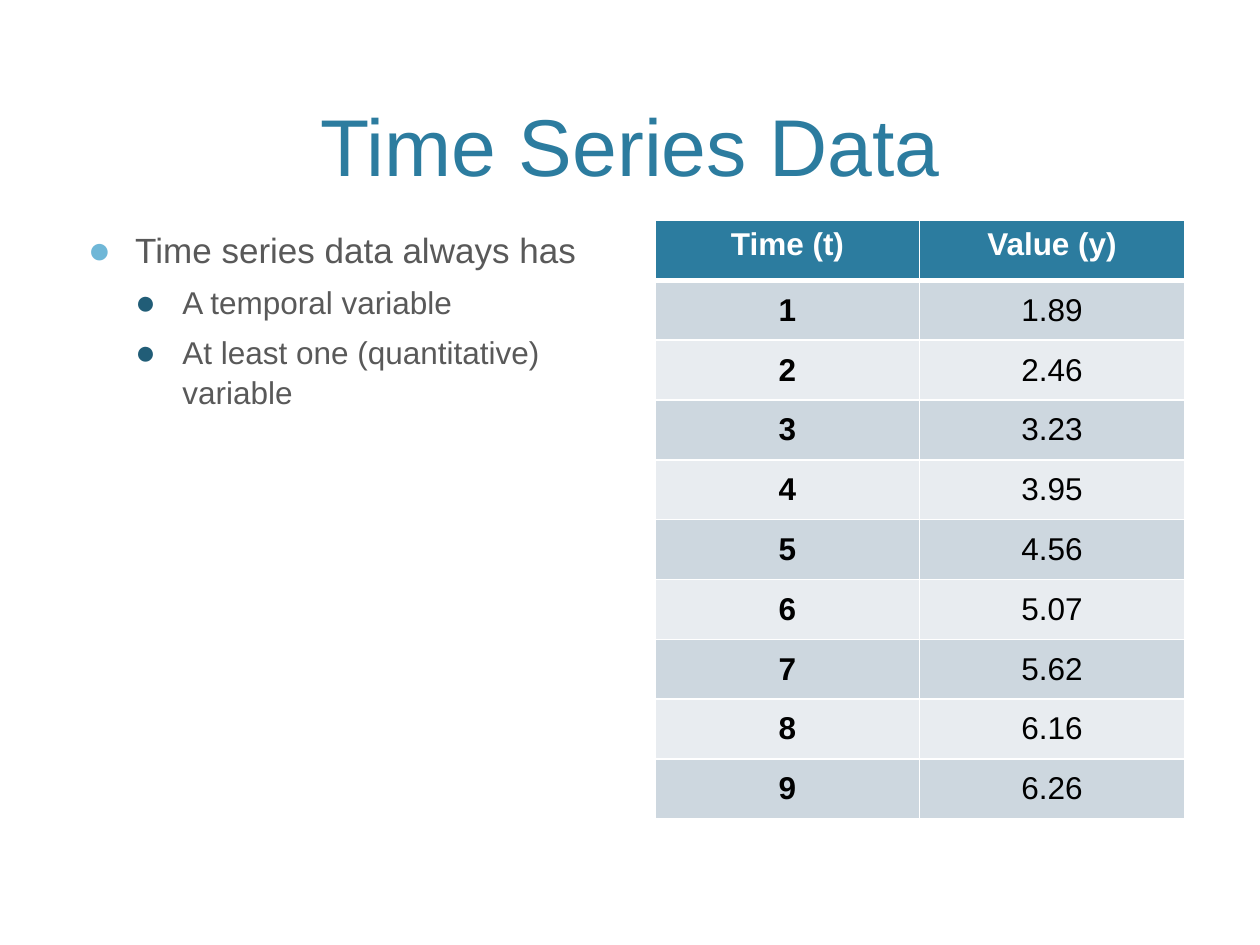
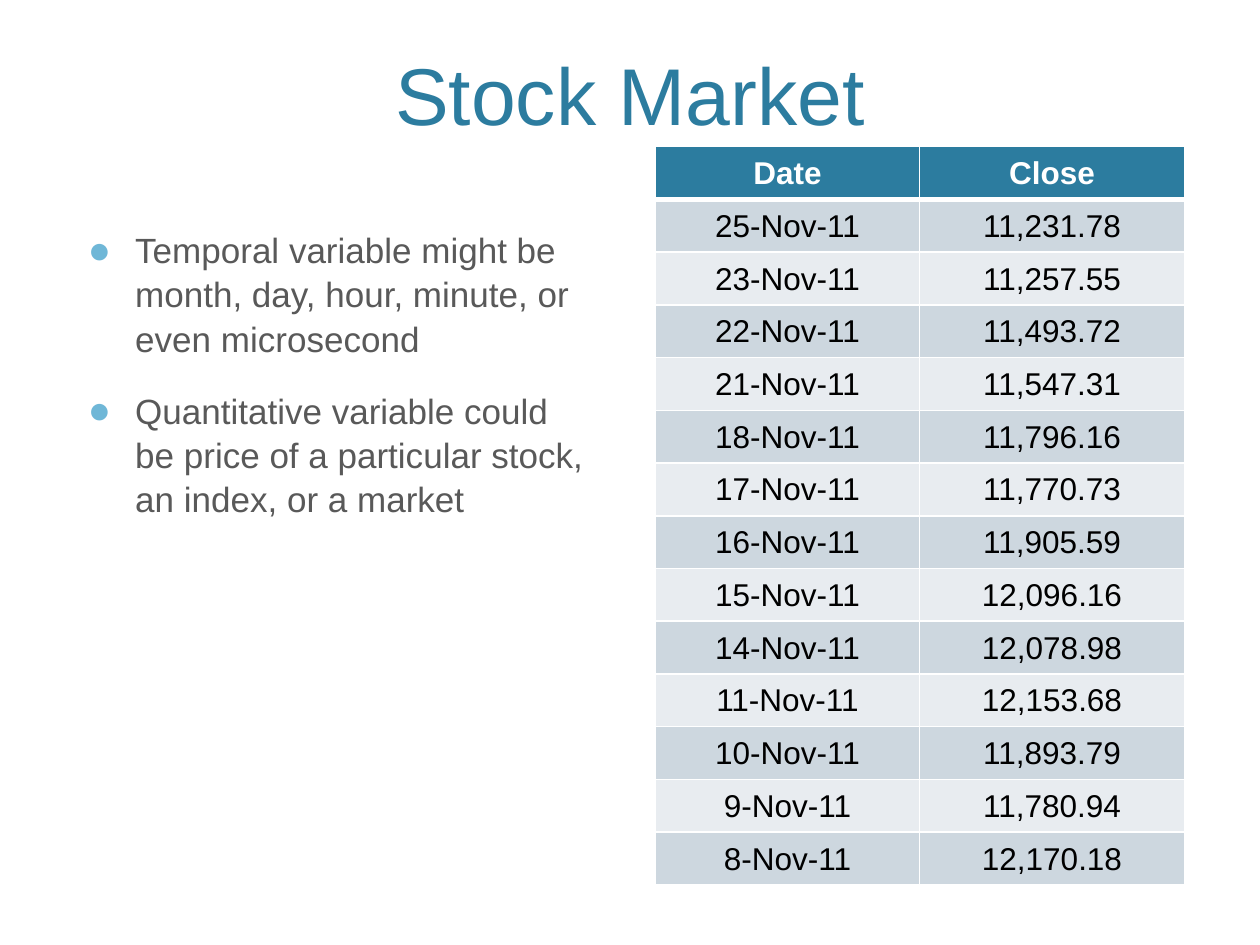
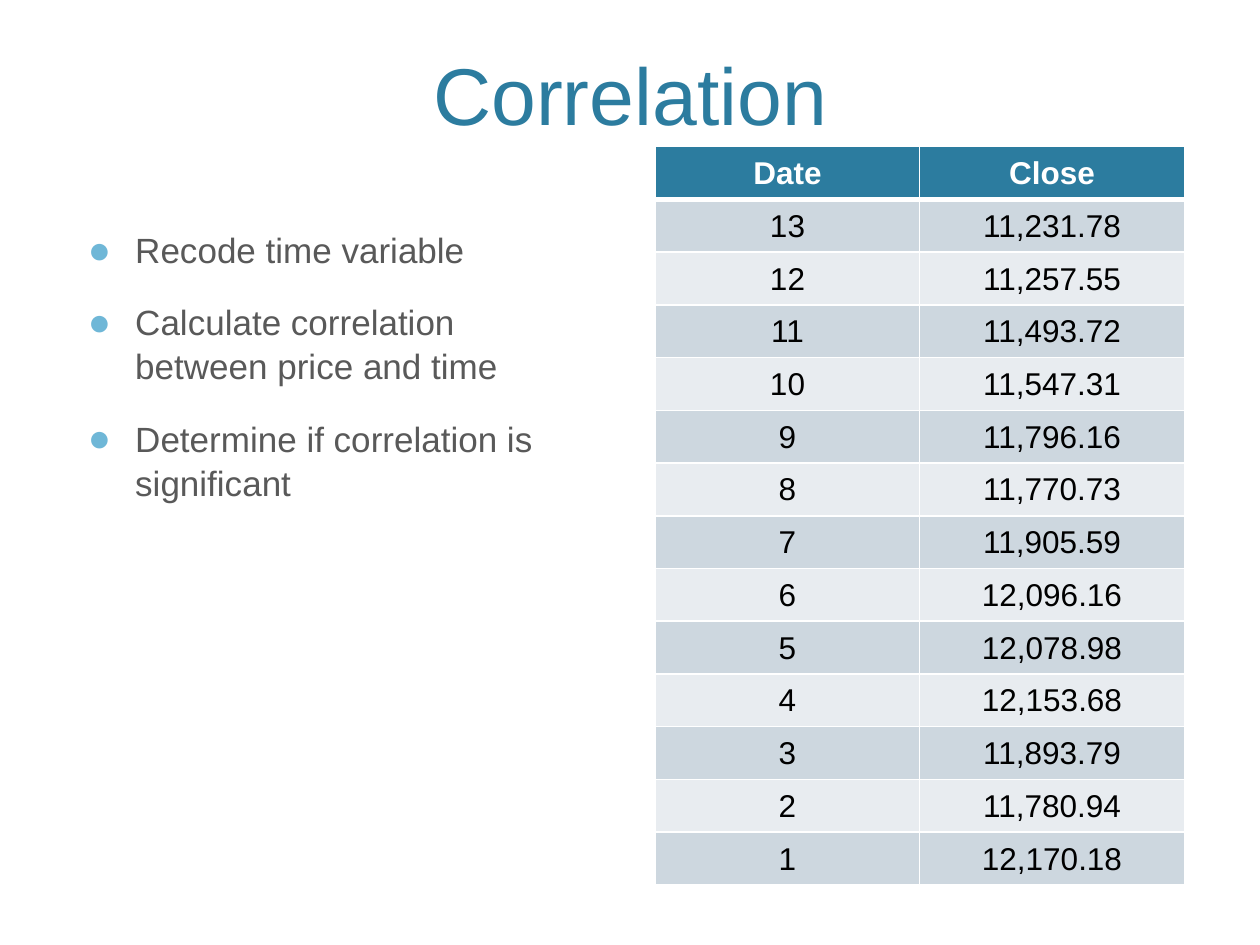
from lxml.etree import SubElement as Sub
from pptx import Presentation
from pptx.dml.color import RGBColor
from pptx.enum.text import MSO_ANCHOR as Anchor, PP_ALIGN as Align
from pptx.oxml.ns import qn
from pptx.util import Pt

# Content
CLOSE = ["11,231.78", "11,257.55", "11,493.72", "11,547.31", "11,796.16",
         "11,770.73", "11,905.59", "12,096.16", "12,078.98", "12,153.68",
         "11,893.79", "11,780.94", "12,170.18"]
DAYS = [25, 23, 22, 21, 18, 17, 16, 15, 14, 11, 10, 9, 8]
VALUES = ["1.89", "2.46", "3.23", "3.95", "4.56", "5.07", "5.62", "6.16", "6.26"]

# Bullets are (level, text); the table frame is (top, height)
SLIDES = [
    {"title": "Time Series Data", "base": 113.76,
     "bullets": [(0, "Time series data always has"),
                 (1, "A temporal variable"),
                 (1, "At least one (quantitative) variable")],
     "head": ("Time (t)", "Value (y)"),
     "rows": list(enumerate(VALUES, 1)),
     "frame": (126, 342), "pad": 0, "loose": True},
    {"title": "Stock Market", "base": 84.24,
     "bullets": [(0, "Temporal variable might be month, day, hour, minute, "
                     "or even microsecond"),
                 (0, "Quantitative variable could be price of a particular "
                     "stock, an index, or a market")],
     "head": ("Date", "Close"),
     "rows": [(f"{day}-Nov-11", price) for day, price in zip(DAYS, CLOSE)],
     "frame": (83.8, 421.92), "pad": 0.72, "loose": False},
    {"title": "Correlation", "base": 84.24,
     "bullets": [(0, "Recode time variable"),
                 (0, "Calculate correlation between price and time"),
                 (0, "Determine if correlation is significant")],
     "head": ("Date", "Close"),
     "rows": list(zip(range(len(CLOSE), 0, -1), CLOSE)),
     "frame": (83.8, 421.92), "pad": 0.72, "loose": False},
]

# Shared style
FONT = "Arial"
BLUE, GREY, WHITE, BLACK = "2C7C9F", "595959", "FFFFFF", "000000"
BANDS = ("CDD7DF", "E8ECF0")
LEFT, WIDE, TOP = 43.2, 633.6, 8.64
BODY = (LEFT, 126, 302.4, 342)
GRID_X, COL = 374.4, 151.2
LEVELS = [{"size": 20, "gap": 16, "margin": 27, "hang": 27, "dot": "6FB7D7"},
          {"size": 18, "gap": 6, "margin": 54, "hang": 27, "dot": "215D77"}]


def rgb(code):
    return RGBColor.from_string(code)


def write(para, text, size=18, color=BLACK, bold=False, align=None):
    para.alignment = align
    run = para.add_run()
    run.text = str(text)
    font = run.font
    font.name, font.size, font.bold = FONT, Pt(size), bold
    font.color.rgb = rgb(color)


def add_box(slide, left, top, width, height, anchor=Anchor.TOP):
    frame = slide.shapes.add_textbox(Pt(left), Pt(top), Pt(width), Pt(height)).text_frame
    frame.word_wrap = True
    frame.vertical_anchor = anchor
    return frame


def add_dot(para, style):
    props = para._p.get_or_add_pPr()
    props.set("marL", str(Pt(style["margin"])))
    props.set("indent", str(-Pt(style["hang"])))
    Sub(Sub(props, qn("a:buClr")), qn("a:srgbClr"), val=style["dot"])
    Sub(props, qn("a:buSzPct"), val="110000")
    Sub(props, qn("a:buFont"), typeface=FONT)
    Sub(props, qn("a:buChar"), char="●")


def add_list(slide, items):
    frame = add_box(slide, *BODY)
    for i, (level, text) in enumerate(items):
        para = frame.add_paragraph() if i else frame.paragraphs[0]
        style = LEVELS[level]
        add_dot(para, style)
        para.line_spacing = 1.05
        para.space_before = Pt(style["gap"] if i else 0)
        write(para, text, size=style["size"], color=GREY)


def add_edges(cell, row):
    # A thick rule parts the header from the rows below
    thick = {"T": row == 1, "B": row == 0}
    props = cell._tc.get_or_add_tcPr()
    for side in "LRTB":
        width = 3 if thick.get(side) else 1
        line = Sub(props, qn(f"a:ln{side}"), w=str(Pt(width)))
        Sub(Sub(line, qn("a:solidFill")), qn("a:srgbClr"), val=WHITE)


def add_grid(slide, data):
    rows = [data["head"], *data["rows"]]
    top, height = data["frame"]
    table = slide.shapes.add_table(len(rows), 2, Pt(GRID_X), Pt(top),
                                   Pt(2 * COL), Pt(height)).table
    for col in table.columns:
        col.width = Pt(COL)
    for r, row in enumerate(rows):
        table.rows[r].height = Pt(height / len(rows))
        for c, text in enumerate(row):
            cell = table.cell(r, c)
            head = r == 0
            add_edges(cell, r)
            cell.fill.solid()
            cell.fill.fore_color.rgb = rgb(BLUE if head else BANDS[(r - 1) % 2])
            if not (head and data["loose"]):
                cell.vertical_anchor = Anchor.MIDDLE
                cell.margin_left = cell.margin_right = cell.margin_top = Pt(data["pad"])
                cell.margin_bottom = Pt(0)
            write(cell.text_frame.paragraphs[0], text,
                  color=WHITE if head else BLACK,
                  bold=head or (data["loose"] and c == 0), align=Align.CENTER)


def main():
    deck = Presentation()
    deck.slide_width, deck.slide_height = Pt(720), Pt(540)
    for data in SLIDES:
        slide = deck.slides.add_slide(deck.slide_layouts[6])
        title = add_box(slide, LEFT, TOP, WIDE, data["base"] - TOP, Anchor.BOTTOM)
        write(title.paragraphs[0], data["title"], size=46, color=BLUE,
              align=Align.CENTER)
        add_list(slide, data["bullets"])
        add_grid(slide, data)
    deck.save("out.pptx")


if __name__ == "__main__":
    main()
